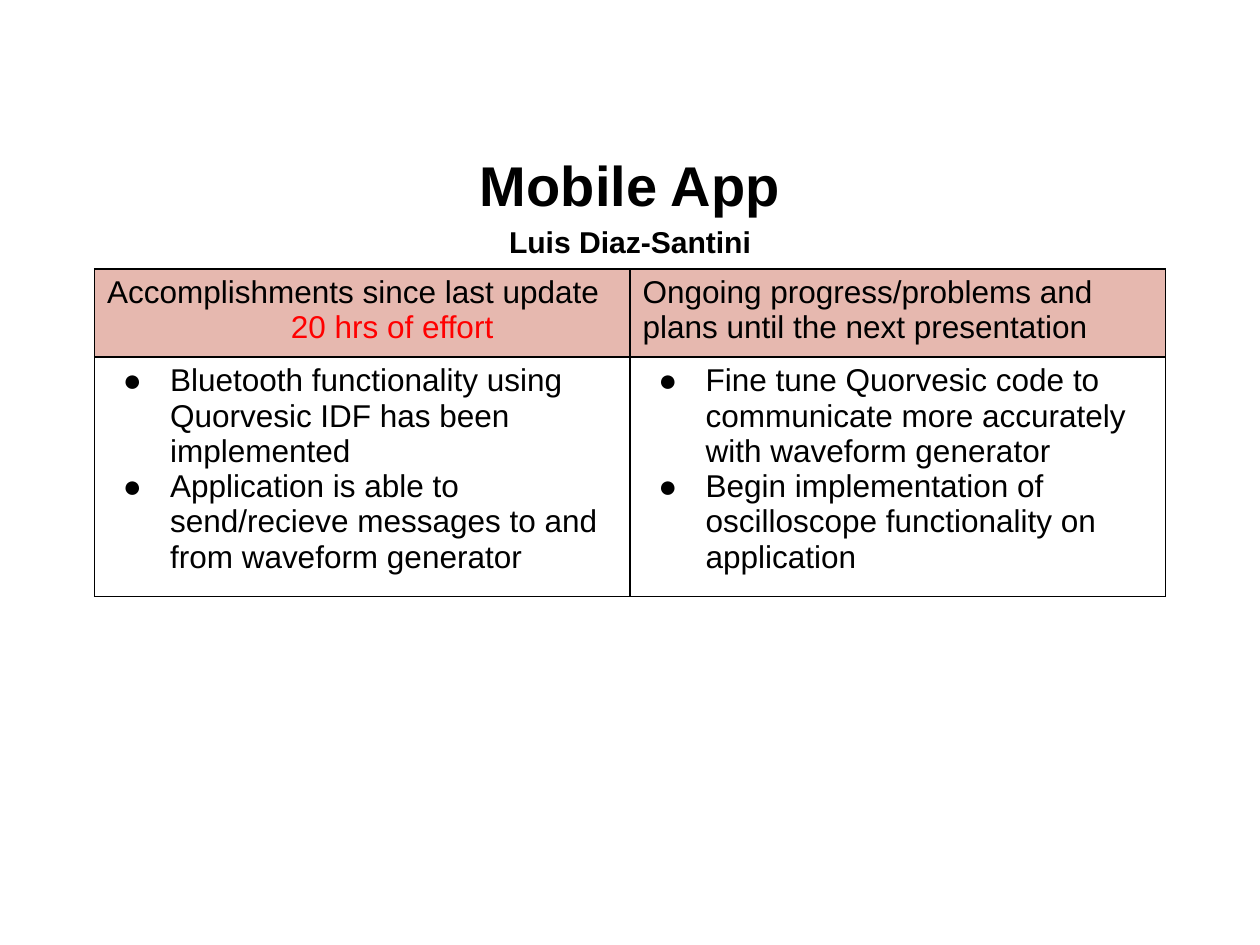
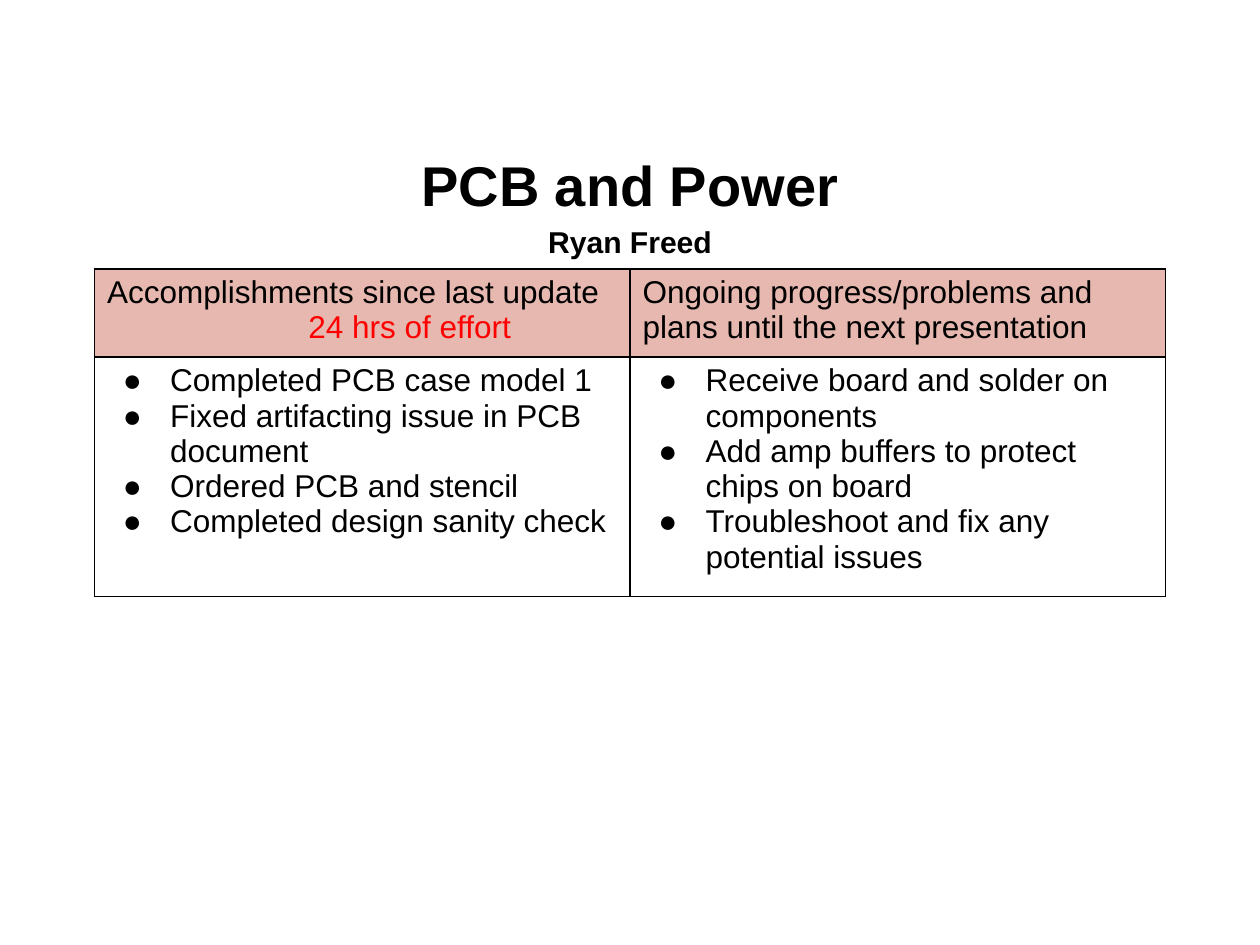
from dataclasses import dataclass

from pptx import Presentation
from pptx.dml.color import RGBColor
from pptx.enum.text import MSO_ANCHOR, MSO_AUTO_SIZE, PP_ALIGN
from pptx.oxml.ns import qn
from pptx.util import Pt
from lxml.etree import SubElement

CENTER = PP_ALIGN.CENTER
MIDDLE = MSO_ANCHOR.MIDDLE
NO_FIT = MSO_AUTO_SIZE.NONE
TITLE_ONLY = 5

COLORS = {"ink": "000000", "effort": "FF0000", "head": "E6B8AF"}
FONT = "Arial"
COLS = (306, 306)
ROWS = (50.4, 136.8)
FRAME = {"left": Pt(36), "top": Pt(82.5), "width": Pt(648), "height": Pt(63.36)}
INSETS = {"margin_left": Pt(7.2), "margin_right": Pt(7.2),
          "margin_top": Pt(3.6), "margin_bottom": Pt(3.6)}
TITLE_BOX = {"auto_size": NO_FIT, "word_wrap": True, "vertical_anchor": MIDDLE}
TITLE_PARA = {"alignment": CENTER, "line_spacing": 1.15,
              "space_before": Pt(0), "space_after": Pt(0)}
DONE_HEAD = "Accomplishments since last update"
PLAN_HEAD = "Ongoing progress/problems and plans until the next presentation"


@dataclass
class Report:
    title: str
    author: str
    hours: int
    shift: float  # left indent of the effort line
    done: list[str]
    plans: list[str]


REPORTS = [
    Report("Mobile App", "Luis Diaz-Santini", 20, 105,
           ["Bluetooth functionality using Quorvesic IDF has been implemented",
            "Application is able to send/recieve messages to and from waveform generator"],
           ["Fine tune Quorvesic code to communicate more accurately with waveform generator",
            "Begin implementation of oscilloscope functionality on application"]),
    Report("PCB and Power", "Ryan Freed", 24, 115,
           ["Completed PCB case model 1",
            "Fixed artifacting issue in PCB document",
            "Ordered PCB and stencil",
            "Completed design sanity check"],
           ["Receive board and solder on components",
            "Add amp buffers to protect chips on board",
            "Troubleshoot and fix any potential issues"]),
]


def rgb(name: str) -> RGBColor:
    return RGBColor.from_string(COLORS[name])


def apply(item, values: dict) -> None:
    for key, value in values.items():
        setattr(item, key, value)


def write(para, text: str, size: float = 18, color: str = "ink",
          bold: bool = False) -> None:
    run = para.add_run()
    run.text = text
    apply(run.font, {"name": FONT, "size": Pt(size), "bold": bold})
    run.font.color.rgb = rgb(color)


def add_para(frame, first: bool):
    return frame.paragraphs[0] if first else frame.add_paragraph()


def indent(para, left: float, hang: float = 0):
    props = para._p.get_or_add_pPr()
    props.set("marL", str(Pt(left)))
    props.set("indent", str(Pt(-hang)))
    return props


def add_list(cell, items: list[str]) -> None:
    for i, item in enumerate(items):
        para = add_para(cell.text_frame, i == 0)
        props = indent(para, 36, 27)
        tint = SubElement(props, qn("a:buClr"))
        SubElement(tint, qn("a:srgbClr"), val=COLORS["ink"])
        SubElement(props, qn("a:buFont"), typeface=FONT)
        SubElement(props, qn("a:buChar"), char="●")
        write(para, item)


def add_border(cell) -> None:
    props = cell._tc.get_or_add_tcPr()
    for side in ("lnL", "lnR", "lnT", "lnB"):
        line = SubElement(props, qn(f"a:{side}"), w=str(Pt(1)))
        fill = SubElement(line, qn("a:solidFill"))
        SubElement(fill, qn("a:srgbClr"), val=COLORS["ink"])


def add_title(slide, report: Report) -> None:
    title = slide.shapes.title
    apply(title, FRAME)
    frame = title.text_frame
    apply(frame, TITLE_BOX | INSETS)
    for i, (text, size) in enumerate([(report.title, 32), (report.author, 17.2)]):
        para = add_para(frame, i == 0)
        apply(para, TITLE_PARA)
        write(para, text, size, bold=True)


def add_grid(slide, report: Report) -> None:
    table = slide.shapes.add_table(len(ROWS), len(COLS), Pt(54), Pt(153.6),
                                   Pt(sum(COLS)), Pt(sum(ROWS))).table
    apply(table, {"first_row": False, "horz_banding": False})
    for col, width in zip(table.columns, COLS):
        col.width = Pt(width)
    for row, height in zip(table.rows, ROWS):
        row.height = Pt(height)
    for cell in table.iter_cells():
        apply(cell, INSETS)
        add_border(cell)

    # Header row
    done, plan = table.rows[0].cells
    for cell, text in ((done, DONE_HEAD), (plan, PLAN_HEAD)):
        cell.fill.solid()
        cell.fill.fore_color.rgb = rgb("head")
        write(cell.text_frame.paragraphs[0], text)
    effort = done.text_frame.add_paragraph()
    indent(effort, report.shift)
    write(effort, f"{report.hours} hrs of effort", color="effort")

    # Lists
    for cell, items in zip(table.rows[1].cells, (report.done, report.plans)):
        cell.fill.background()
        add_list(cell, items)


def main() -> None:
    deck = Presentation()
    apply(deck, {"slide_width": Pt(720), "slide_height": Pt(540)})
    for report in REPORTS:
        slide = deck.slides.add_slide(deck.slide_layouts[TITLE_ONLY])
        add_title(slide, report)
        add_grid(slide, report)
    deck.save("out.pptx")


if __name__ == "__main__":
    main()
